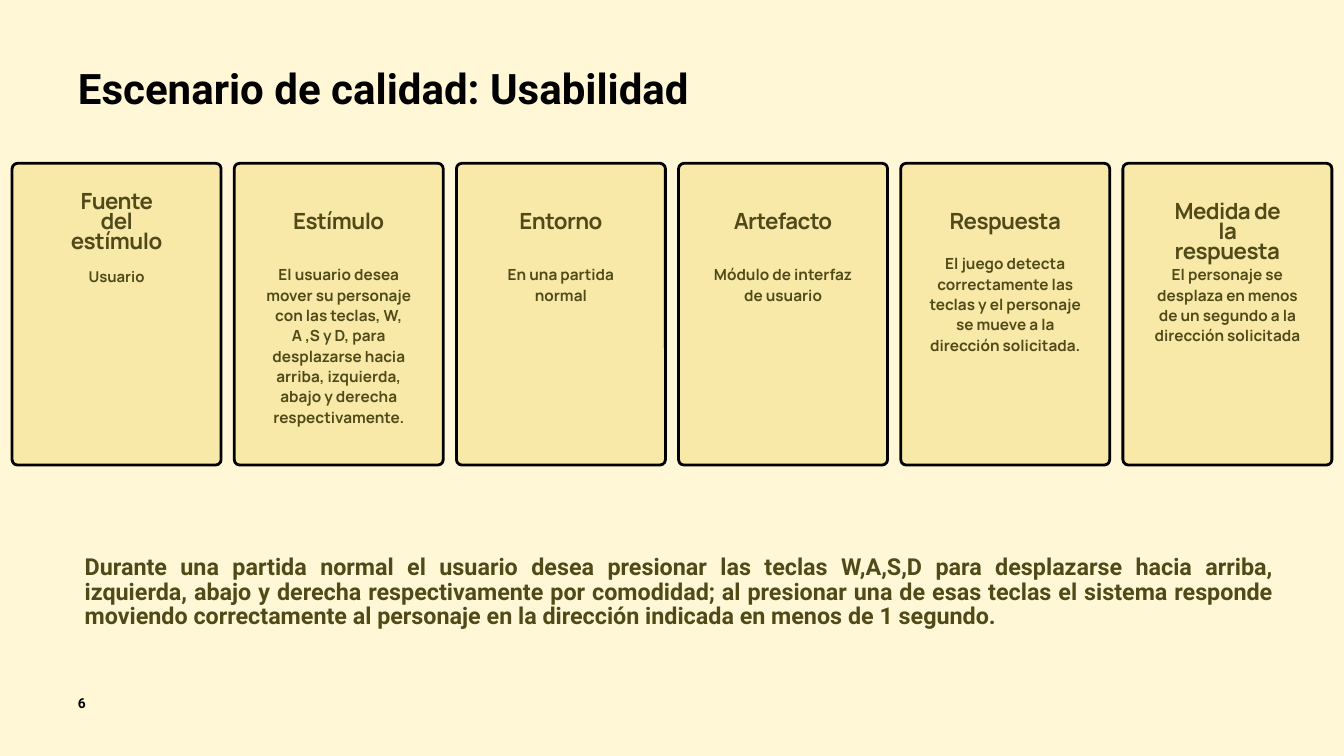
from dataclasses import dataclass

import pptx
import pptx.dml.color
import pptx.enum.shapes
import pptx.enum.text
import pptx.shapes.base
import pptx.slide
import pptx.util
from pptx.util import Inches, Pt

COLORS = {"background": "FFF7D6", "card": "F8E9A8", "olive": "4F4A18", "black": "000000"}
ALIGN = pptx.enum.text.PP_ALIGN

SLIDE_WIDTH, SLIDE_HEIGHT = 20, 11.25
CARD_MARGIN, CARD_TOP = 0.18, 2.43
CARD_WIDTH, CARD_HEIGHT = 3.11, 4.49
CARD_RADIUS = 0.08
DETAIL_WIDTH = 2.32


@dataclass(frozen=True)
class TextStyle:
    font: str
    size: float
    leading: float
    color: str
    align: ALIGN
    tracking: int = 0  # hundredths of a point


@dataclass(frozen=True)
class Box:
    left: float
    top: float
    width: float
    height: float


@dataclass(frozen=True)
class Card:
    heading: str
    detail: str
    heading_top: float = 3.18
    heading_width: float = 1.43
    heading_height: float = 0.33
    detail_top: float = 3.92
    detail_height: float = 0.61
    detail_size: float = 16.4
    detail_leading: float = 21.8


TITLE = TextStyle("Roboto", 45, 41.4, "black", ALIGN.JUSTIFY)
PAGE_NUMBER = TextStyle("Roboto", 14.8, 20.8, "black", ALIGN.LEFT)
SUMMARY = TextStyle("Roboto", 25, 26, "olive", ALIGN.JUSTIFY)
HEADING = TextStyle("Manrope", 23.9, 21.5, "olive", ALIGN.CENTER, -60)

CARDS = [
    Card("Fuente del estímulo", "Usuario", heading_top=2.89, heading_height=0.91,
         detail_top=3.95, detail_height=0.29, detail_size=16, detail_leading=21.3),
    Card("Estímulo",
         "El usuario desea mover su personaje con las teclas, W, A ,S y D, para "
         "desplazarse hacia arriba, izquierda, abajo y derecha respectivamente.",
         detail_height=2.42),
    Card("Entorno", "En una partida normal"),
    Card("Artefacto", "Módulo de interfaz de usuario", heading_width=1.69),
    Card("Respuesta",
         "El juego detecta correctamente las teclas y el personaje se mueve a la "
         "dirección solicitada.",
         heading_width=1.87, detail_top=3.76, detail_height=1.51),
    Card("Medida de la respuesta",
         "El personaje se desplaza en menos de un segundo a la dirección solicitada",
         heading_top=3.03, heading_width=1.87, heading_height=0.62, detail_height=1.21),
]


def rgb(name: str) -> pptx.dml.color.RGBColor:
    return pptx.dml.color.RGBColor.from_string(COLORS[name])


def set_all(target: object, values: dict) -> None:
    for name, value in values.items():
        setattr(target, name, value)


def write_text(shape: pptx.shapes.base.BaseShape, text: str, box: Box, style: TextStyle) -> None:
    set_all(shape, {"left": Inches(box.left), "top": Inches(box.top),
                    "width": Inches(box.width), "height": Inches(box.height)})
    frame = shape.text_frame
    set_all(frame, {
        "margin_left": 0, "margin_right": 0, "margin_top": 0, "margin_bottom": 0,
        "word_wrap": True,
        "vertical_anchor": pptx.enum.text.MSO_ANCHOR.TOP,
        "auto_size": pptx.enum.text.MSO_AUTO_SIZE.SHAPE_TO_FIT_TEXT,
    })
    paragraph = frame.paragraphs[0]
    set_all(paragraph, {"alignment": style.align, "line_spacing": Pt(style.leading),
                        "space_before": Pt(0)})
    run = paragraph.add_run()
    run.text = text
    set_all(run.font, {"name": style.font, "size": Pt(style.size), "bold": True})
    run.font.color.rgb = rgb(style.color)
    if style.tracking:
        run.font._element.set("spc", str(style.tracking))


def add_text(slide: pptx.slide.Slide, text: str, box: Box, style: TextStyle) -> None:
    write_text(slide.shapes.add_textbox(0, 0, 0, 0), text, box, style)


def add_card(slide: pptx.slide.Slide, card: Card, left: float) -> None:
    panel = slide.shapes.add_shape(
        pptx.enum.shapes.MSO_SHAPE.ROUNDED_RECTANGLE, Inches(left), Inches(CARD_TOP),
        Inches(CARD_WIDTH), Inches(CARD_HEIGHT))
    panel.adjustments[0] = CARD_RADIUS / CARD_WIDTH
    panel.shadow.inherit = False
    panel.fill.solid()
    panel.fill.fore_color.rgb = rgb("card")
    panel.line.color.rgb = rgb("black")
    panel.line.width = Pt(3)

    center = left + CARD_WIDTH / 2
    add_text(slide, card.heading,
             Box(center - card.heading_width / 2, card.heading_top,
                 card.heading_width, card.heading_height), HEADING)
    detail_style = TextStyle("Manrope", card.detail_size, card.detail_leading,
                             "olive", ALIGN.CENTER)
    add_text(slide, card.detail,
             Box(center - DETAIL_WIDTH / 2, card.detail_top,
                 DETAIL_WIDTH, card.detail_height), detail_style)


def main() -> None:
    presentation = pptx.Presentation()
    presentation.slide_width = Inches(SLIDE_WIDTH)
    presentation.slide_height = Inches(SLIDE_HEIGHT)
    slide = presentation.slides.add_slide(presentation.slide_layouts[5])
    slide.background.fill.solid()
    slide.background.fill.fore_color.rgb = rgb("background")

    write_text(slide.shapes.title, "Escenario de calidad: Usabilidad",
               Box(1.16, 1.1, 11.4, 0.62), TITLE)
    add_text(slide, "6", Box(1.16, 10.29, 0.84, 0.27), PAGE_NUMBER)

    pitch = (SLIDE_WIDTH - 2 * CARD_MARGIN - CARD_WIDTH) / (len(CARDS) - 1)
    for index, card in enumerate(CARDS):
        add_card(slide, card, CARD_MARGIN + index * pitch)

    add_text(slide,
             "Durante una partida normal el usuario desea presionar las teclas W,A,S,D para "
             "desplazarse hacia arriba, izquierda, abajo y derecha respectivamente por "
             "comodidad; al presionar una de esas teclas el sistema responde moviendo "
             "correctamente al personaje en la dirección indicada en menos de 1 segundo.",
             Box(1.26, 8.28, 17.68, 1.07), SUMMARY)
    presentation.save("out.pptx")


if __name__ == "__main__":
    main()
